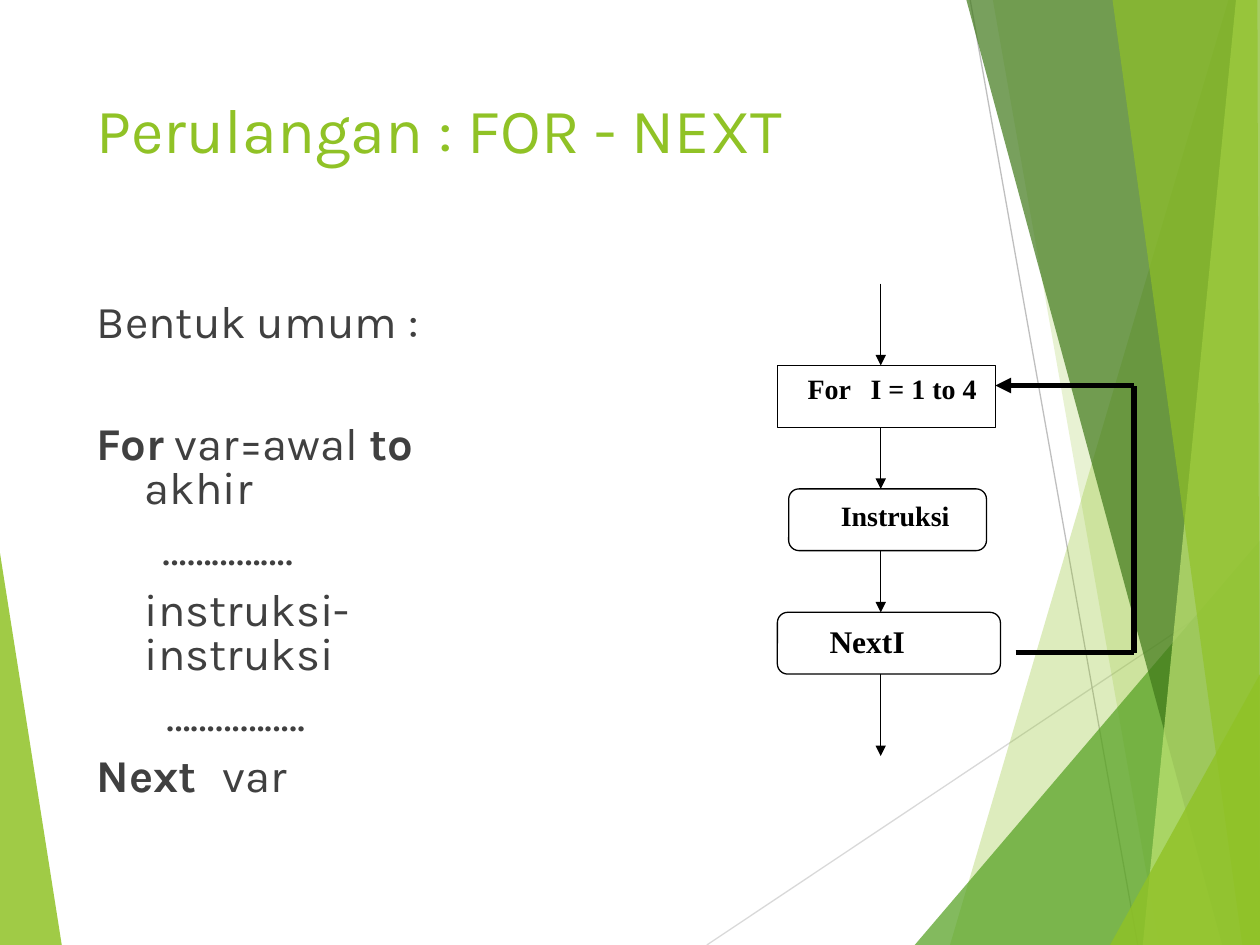
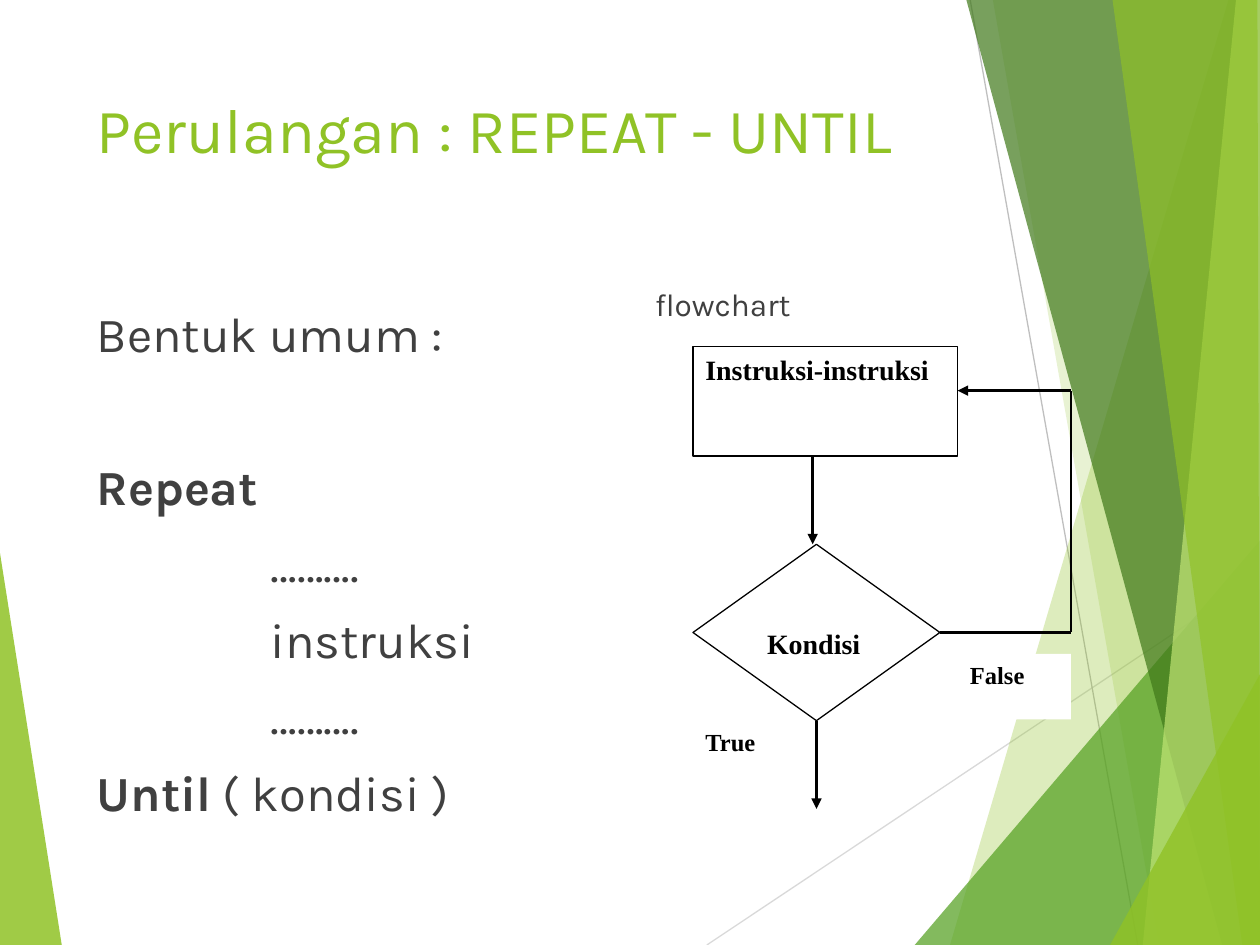
from dataclasses import dataclass
from itertools import pairwise

from lxml.etree import SubElement
from pptx import Presentation
from pptx.dml.color import RGBColor
from pptx.enum.shapes import MSO_CONNECTOR, MSO_SHAPE
from pptx.enum.text import MSO_ANCHOR, PP_ALIGN
from pptx.oxml.ns import qn
from pptx.util import Pt

PX = 9144
WIDTH, HEIGHT = 1000, 750

COLORS = {
    "lime": "90C226",
    "leaf": "54A021",
    "forest": "3F7819",
    "pale": "C0E474",
    "rule_light": "D9D9D9",
    "rule_dark": "BFBFBF",
    "body": "404040",
    "ink": "000000",
    "paper": "FFFFFF",
}

TITLE = {"name": "Karla", "size": Pt(36)}
BODY = {"name": "Karla", "size": Pt(26)}
BODY_LARGE = BODY | {"size": Pt(28)}
CAPTION = BODY | {"size": Pt(18)}
STEP = {"name": "Times New Roman", "size": Pt(16), "bold": True}
STEP_LARGE = STEP | {"size": Pt(18)}
BRANCH = STEP | {"size": Pt(14)}

LEFT_WEDGE = ("lime", 85, [(0, 439), (49, 750), (0, 750)])
RULES = [("rule_light", (561, 750), (1000, 457)), ("rule_dark", (770, 0), (903, 750))]
RIGHT_FACETS = [
    ("lime", 30, [(975, 0), (754, 750), (1000, 750), (1000, 0)]),
    ("lime", 20, [(788, 0), (920, 750), (1000, 750), (1000, 0)]),
    ("leaf", 72, [(726, 750), (1000, 429), (1000, 750)]),
    ("forest", 70, [(767, 0), (970, 750), (1000, 750), (1000, 0)]),
    ("pale", 70, [(981, 0), (907, 750), (1000, 750), (1000, 0)]),
    ("lime", 65, [(883, 0), (986, 750), (1000, 750), (998, 0)]),
    ("lime", 80, [(881, 750), (1000, 535), (1000, 750)]),
]

BODY_BOX = (67, 236, 338, 424)


@dataclass
class Line:
    runs: list
    margin: int = 38
    hanging: int = 38
    before: int = 10
    tab: int = 0


def rgb(color):
    return RGBColor.from_string(COLORS[color])


def px(values):
    return [value * PX for value in values]


def set_values(target, values):
    for name, value in values.items():
        setattr(target, name, value)


def write_line(paragraph, line, font_values, color, spacing):
    properties = paragraph._p.get_or_add_pPr()
    properties.set("marL", str(line.margin * PX))
    properties.set("indent", str(-line.hanging * PX))
    if line.tab:
        stops = SubElement(properties, qn("a:tabLst"))
        SubElement(stops, qn("a:tab"), pos=str(line.tab * PX), algn="l")
    set_values(paragraph, {
        "alignment": PP_ALIGN.LEFT,
        "line_spacing": spacing,
        "space_before": Pt(line.before),
    })
    for text, bold in line.runs:
        run = paragraph.add_run()
        run.text = text
        set_values(run.font, {"bold": bold} | font_values)
        run.font.color.rgb = rgb(color)


def fill_text(frame, lines, font_values, color, left=10, top=5, spacing=1.0):
    set_values(frame, {
        "word_wrap": True,
        "vertical_anchor": MSO_ANCHOR.TOP,
        "margin_left": left * PX,
        "margin_top": top * PX,
        "margin_right": 10 * PX,
        "margin_bottom": 5 * PX,
    })
    for index, line in enumerate(lines):
        paragraph = frame.add_paragraph() if index else frame.paragraphs[0]
        write_line(paragraph, line, font_values, color, spacing)


def plain(text, tab=0):
    return [Line([(text, False)], margin=0, hanging=0, before=0, tab=tab)]


def add_text(slide, box, lines, font_values, color="body", **layout):
    frame = slide.shapes.add_textbox(*px(box)).text_frame
    fill_text(frame, lines, font_values, color, **layout)


def add_step(slide, kind, box, text, font_values=STEP, tab=0, outlined=True, **layout):
    step = slide.shapes.add_shape(kind, *px(box))
    step.shadow.inherit = False
    step.fill.solid()
    step.fill.fore_color.rgb = rgb("paper")
    if outlined:
        step.line.color.rgb = rgb("ink")
        step.line.width = Pt(0.75)
    else:
        step.line.fill.background()
    fill_text(step.text_frame, plain(text, tab), font_values, "ink", **layout)
    return step


def add_line(slide, start, end, color="ink", weight=0.75, arrow=False):
    line = slide.shapes.add_connector(MSO_CONNECTOR.STRAIGHT, *px(start + end))
    line.line.color.rgb = rgb(color)
    line.line.width = Pt(weight)
    properties = line._element.spPr
    if arrow:
        SubElement(properties.find(qn("a:ln")), qn("a:tailEnd"), type="triangle")
    SubElement(properties, qn("a:effectLst"))
    return line


def add_route(slide, points, weight):
    legs = list(pairwise(points))
    return [
        add_line(slide, start, end, weight=weight, arrow=index == len(legs))
        for index, (start, end) in enumerate(legs, 1)
    ]


def add_facet(slide, color, opacity, points):
    builder = slide.shapes.build_freeform(*points[0], scale=PX)
    builder.add_line_segments(points[1:], close=True)
    facet = builder.convert_to_shape()
    facet.shadow.inherit = False
    facet.line.fill.background()
    facet.fill.solid()
    facet.fill.fore_color.rgb = rgb(color)
    tint = facet._element.spPr.find(qn("a:solidFill")).find(qn("a:srgbClr"))
    SubElement(tint, qn("a:alpha"), val=str(opacity * 1000))


def start_slide(deck, title):
    slide = deck.slides.add_slide(deck.slide_layouts[6])
    add_facet(slide, *LEFT_WEDGE)
    for color, start, end in RULES:
        add_line(slide, start, end, color)
    for facet in RIGHT_FACETS:
        add_facet(slide, *facet)
    add_text(slide, (67, 67, 694, 144), plain(title), TITLE, "lime")
    return slide


def build_for_next(deck):
    slide = start_slide(deck, "Perulangan : FOR - NEXT")
    syntax = [
        Line([("Bentuk umum :", False)], before=0),
        Line([("For", True), (" var=awal ", False), ("to", True), (" akhir", False)],
             before=45),
        Line([("…………….", False)], margin=52, hanging=0),
        Line([("instruksi-instruksi", False)], hanging=0),
        Line([("……………..", False)], margin=55, hanging=0),
        Line([("Next", True), ("\tvar", False)], margin=0, hanging=0, tab=97),
    ]
    add_text(slide, BODY_BOX, syntax, BODY, spacing=0.8)

    add_step(slide, MSO_SHAPE.FLOWCHART_ALTERNATE_PROCESS, (626, 388, 157, 49),
             "Instruksi", left=39)
    add_step(slide, MSO_SHAPE.FLOWCHART_PROCESS, (617, 290, 173, 49),
             "For\tI = 1 to 4", tab=45, left=24)
    add_step(slide, MSO_SHAPE.ROUNDED_RECTANGLE, (617, 486, 177, 49),
             "Next\tI", STEP_LARGE, tab=75, left=39)
    for top, bottom in [(225, 290), (339, 388), (437, 486), (535, 600)]:
        add_line(slide, (699, top), (699, bottom), arrow=True)
    add_route(slide, [(806, 518), (900, 518), (900, 306), (790, 306)], weight=3)


def build_repeat_until(deck):
    slide = start_slide(deck, "Perulangan : REPEAT - UNTIL")
    loop_body = [
        Line([(text, False)], margin=138, hanging=0)
        for text in ("……….", "instruksi", "……….")
    ]
    syntax = [
        Line([("Bentuk umum :", False)], before=0),
        Line([("Repeat", True)], before=54),
        *loop_body,
        Line([("Until", True), (" ( kondisi )", False)]),
    ]
    add_text(slide, BODY_BOX, syntax, BODY_LARGE)
    add_text(slide, (500, 208, 421, 458), plain("flowchart"), CAPTION, left=20, top=18)

    condition = add_step(slide, MSO_SHAPE.FLOWCHART_DECISION, (550, 432, 196, 140),
                         "Kondisi", top=30)
    add_step(slide, MSO_SHAPE.FLOWCHART_PROCESS, (550, 275, 210, 87),
             "Instruksi-instruksi")
    false_route = add_route(
        slide, [(746, 502), (850, 502), (850, 310), (760, 310)], weight=1.5)
    false_route[0].begin_connect(condition, 3)
    add_line(slide, (645, 362), (645, 432), weight=1.5, arrow=True)
    true_exit = add_line(slide, (648, 572), (648, 642), weight=1.5, arrow=True)
    true_exit.begin_connect(condition, 2)
    for text, box in [("False", (760, 519, 90, 52)), ("True", (550, 572, 75, 52))]:
        add_step(slide, MSO_SHAPE.RECTANGLE, box, text, BRANCH, outlined=False)


def main():
    deck = Presentation()
    set_values(deck, {"slide_width": WIDTH * PX, "slide_height": HEIGHT * PX})
    build_for_next(deck)
    build_repeat_until(deck)
    deck.save("out.pptx")


if __name__ == "__main__":
    main()
